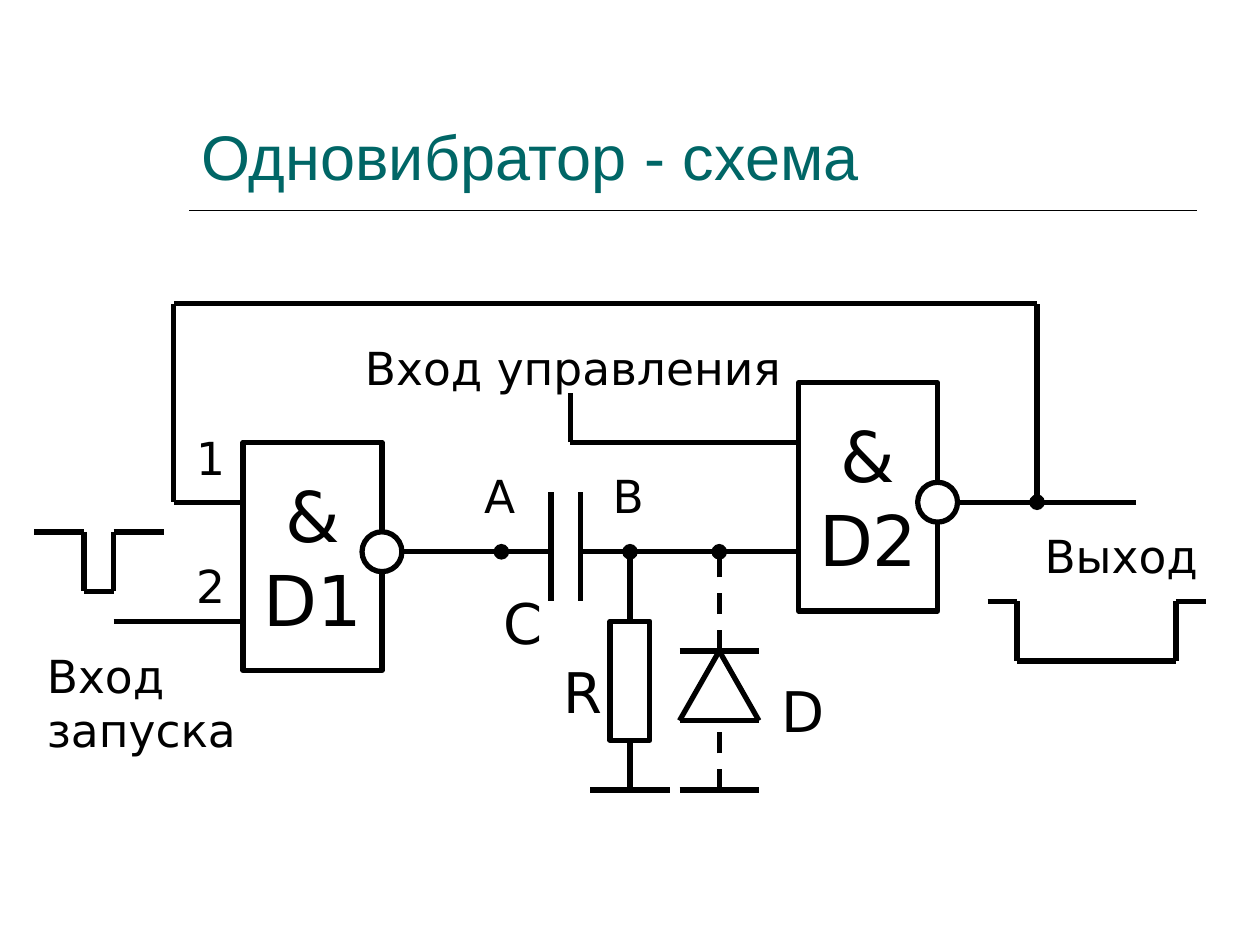
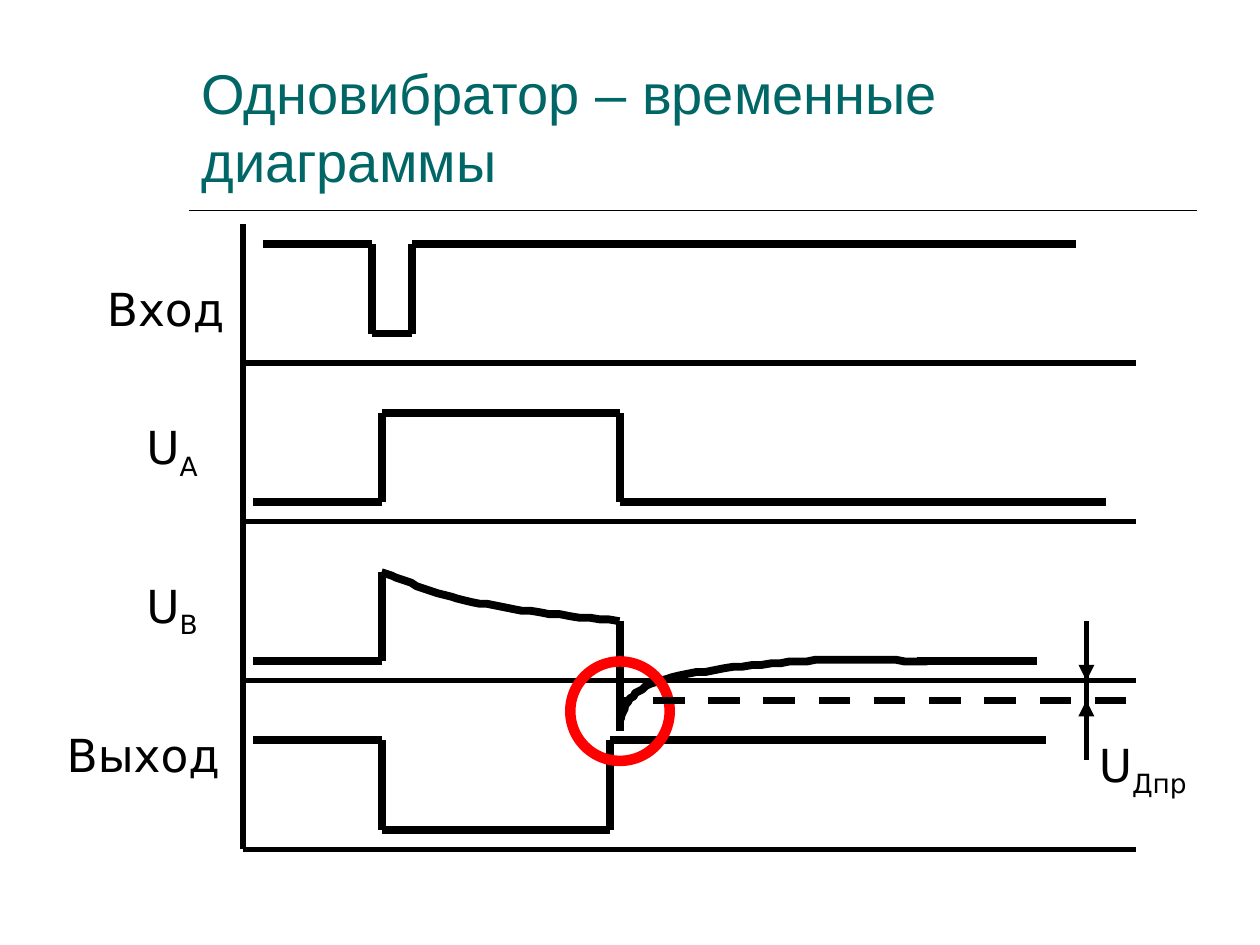
from dataclasses import dataclass
from itertools import pairwise

import pptx
import pptx.dml.color
import pptx.enum.dml
import pptx.enum.shapes
import pptx.enum.text
import pptx.oxml.ns
import pptx.util
from lxml import etree

Pt = pptx.util.Pt
RGB = pptx.dml.color.RGBColor
SHAPE = pptx.enum.shapes.MSO_SHAPE
ANCHOR = pptx.enum.text.MSO_ANCHOR
ALIGN = pptx.enum.text.PP_ALIGN


@dataclass(frozen=True)
class Theme:
    ink: RGB = RGB(0x00, 0x00, 0x00)
    paper: RGB = RGB(0xFF, 0xFF, 0xFF)
    title: RGB = RGB(0x00, 0x66, 0x66)
    alert: RGB = RGB(0xFF, 0x00, 0x00)
    title_font: str = "Arial"
    label_font: str = "DejaVu Sans"
    label_size: float = 26
    part_size: float = 32
    gate_size: float = 40
    rule: float = 1
    wire: float = 3
    signal: float = 4.5
    ring: float = 6


def write(frame, text, *, font, size, color, sub="", align=ALIGN.LEFT,
          anchor=ANCHOR.TOP, wrap=True):
    """Fill a text frame, one paragraph per line; sub is set as a subscript."""
    frame.word_wrap = wrap
    frame.vertical_anchor = anchor
    frame.margin_left = frame.margin_right = Pt(7.2)
    frame.margin_top = frame.margin_bottom = Pt(3.6)
    for number, line in enumerate(text.split("\n")):
        paragraph = frame.add_paragraph() if number else frame.paragraphs[0]
        paragraph.alignment = align
        runs = [paragraph.add_run()]
        runs[0].text = line
        if sub:
            runs.append(paragraph.add_run())
            runs[1].text = sub
            runs[1]._r.get_or_add_rPr().set("baseline", "-25000")
        for run in runs:
            run.font.name = font
            run.font.size = Pt(size)
            run.font.color.rgb = color


def bezier(start, *curves):
    """Points along a chain of cubic curves."""
    points = [start]
    for a, b, end in curves:
        origin = points[-1]
        for step in range(1, 17):
            t = step / 16
            weights = ((1 - t) ** 3, 3 * t * (1 - t) ** 2, 3 * t * t * (1 - t), t ** 3)
            points.append(tuple(
                sum(w * p[axis] for w, p in zip(weights, (origin, a, b, end)))
                for axis in (0, 1)))
    return points


class Board:
    def __init__(self, deck, theme):
        self.deck = deck
        self.theme = theme
        self.slide = None

    def new_slide(self, title, size):
        self.slide = self.deck.slides.add_slide(self.deck.slide_layouts[6])
        self.slide.background.fill.solid()
        self.slide.background.fill.fore_color.rgb = self.theme.paper
        self.wire((108, 120.3), (684, 120.3), width=self.theme.rule)
        heading = self.slide.shapes.add_textbox(Pt(108), Pt(24), Pt(576), Pt(90))
        write(heading.text_frame, title, font=self.theme.title_font, size=size,
              color=self.theme.title, anchor=ANCHOR.BOTTOM)

    def label(self, text, x, y, width, size=None, sub=""):
        size = size or self.theme.label_size
        box = self.slide.shapes.add_textbox(Pt(x), Pt(y), Pt(width), Pt(size * 1.5))
        write(box.text_frame, text, font=self.theme.label_font, size=size,
              color=self.theme.ink, sub=sub)
        box.text_frame.auto_size = pptx.enum.text.MSO_AUTO_SIZE.SHAPE_TO_FIT_TEXT

    def wire(self, *points, width=None, dash=False, end=None):
        """Straight segments through the points; end is the mark on the last one."""
        for start, stop in pairwise(points):
            segment = self.slide.shapes.add_connector(
                pptx.enum.shapes.MSO_CONNECTOR.STRAIGHT,
                *(Pt(value) for value in start + stop))
            segment.line.color.rgb = self.theme.ink
            segment.line.width = Pt(width or self.theme.wire)
            if dash:
                segment.line.dash_style = pptx.enum.dml.MSO_LINE.DASH
            properties = segment._element.spPr
            if end and stop == points[-1]:
                etree.SubElement(properties.find(pptx.oxml.ns.qn("a:ln")),
                                 pptx.oxml.ns.qn("a:tailEnd"), type=end)
            etree.SubElement(properties, pptx.oxml.ns.qn("a:effectLst"))

    def signal(self, *points):
        self.wire(*points, width=self.theme.signal)

    def pulse(self, start, front, back, end, rest, active, width=None):
        """A trace that leaves its rest level between front and back."""
        self.wire((start, rest), (front, rest), (front, active),
                  (back, active), (back, rest), (end, rest), width=width)

    def curve(self, points):
        builder = self.slide.shapes.build_freeform(*points[0], scale=Pt(1))
        builder.add_line_segments(points[1:], close=False)
        trace = builder.convert_to_shape()
        trace.shadow.inherit = False
        trace.fill.background()
        trace.line.color.rgb = self.theme.ink
        trace.line.width = Pt(self.theme.signal)

    def outline(self, kind, x, y, width, height, color=None, line=None, filled=True):
        shape = self.slide.shapes.add_shape(kind, Pt(x), Pt(y), Pt(width), Pt(height))
        shape.shadow.inherit = False
        if filled:
            shape.fill.solid()
            shape.fill.fore_color.rgb = self.theme.paper
        else:
            shape.fill.background()
        shape.line.color.rgb = color or self.theme.ink
        shape.line.width = Pt(line or self.theme.wire)
        return shape

    def nand_gate(self, name, x, y, output_y):
        width, bubble = 79.4, 22.8
        body = self.outline(SHAPE.RECTANGLE, x, y, width, 130.4)
        write(body.text_frame, "&\n" + name, font=self.theme.label_font,
              size=self.theme.gate_size, color=self.theme.ink, align=ALIGN.CENTER,
              anchor=ANCHOR.MIDDLE, wrap=False)
        self.outline(SHAPE.OVAL, x + width - bubble / 2, output_y - bubble / 2,
                     bubble, bubble)


def draw_circuit(board):
    theme = board.theme
    main_y, output_y, ground_y = 315.3, 287, 451.5
    resistor_x, diode_x, ground_half = 360, 411, 22.7
    gate1_x, gate2_x, feedback_x = 138.9, 456.4, 592.6
    board.new_slide("Одновибратор - схема", 36)

    board.nand_gate("D1", gate1_x, 252.7, main_y)
    board.nand_gate("D2", gate2_x, 218.8, output_y)

    # Trigger input and control input
    board.wire((65, 355), (gate1_x, 355))
    board.pulse(19.7, 48, 65, 93.5, 304, 338)
    board.wire((gate2_x, 252.7), (326, 252.7), (326, 224.5))

    # Coupling capacitor between points A and B
    board.wire((229.5, main_y), (286.5, main_y), end="oval")
    board.wire((286.5, main_y), (314.8, main_y))
    for plate_x in (314.8, 331.8):
        board.wire((plate_x, 281.3), (plate_x, 343.7))
    board.wire((331.8, main_y), (resistor_x, main_y), (gate2_x, main_y))

    # Resistor
    board.wire((resistor_x, 355), (resistor_x, main_y), end="oval")
    board.outline(SHAPE.RECTANGLE, resistor_x - 11.4, 355, 22.8, 68)
    board.wire((resistor_x, ground_y), (resistor_x, 423))

    # Diode
    left, right = diode_x - ground_half, diode_x + ground_half
    tip, base = 372, 411.8
    board.wire((diode_x, tip), (diode_x, main_y), dash=True, end="oval")
    board.wire((left, tip), (right, tip))
    board.wire((diode_x, tip), (left, base), (right, base), (diode_x, tip))
    board.wire((diode_x, ground_y), (diode_x, base), dash=True)
    for x in (resistor_x, diode_x):
        board.wire((x - ground_half, ground_y), (x + ground_half, ground_y))

    # Output and feedback
    board.wire((547, output_y), (feedback_x, output_y), (feedback_x, 173.5),
               (99.3, 173.5), (99.3, output_y), (gate1_x, output_y))
    board.wire((649.3, output_y), (feedback_x, output_y), end="oval")
    board.pulse(564.3, 581.2, 672, 689, 343.7, 377.8)

    for text, x, y, width in (
            ("Вход запуска", 19.7, 366.5, 130), ("A", 269.5, 264, 34),
            ("1", 105, 242, 34), ("2", 105, 315.3, 34), ("B", 343, 264, 34),
            ("Вход управления", 201.5, 190.8, 261), ("Выход", 589.8, 298.3, 130)):
        board.label(text, x, y, width)
    for text, x, y in (("C", 280.8, 332.5), ("R", 314.8, 372), ("D", 439.4, 383.2)):
        board.label(text, x, y, 39.6, size=theme.part_size)


def draw_timing(board):
    theme = board.theme
    axis_x, front, back = 138.9, 218.3, 354.3
    zero_y, rest_y, diode_y, level_x = 389, 377.9, 400.3, 620.8
    board.new_slide("Одновибратор – временные диаграммы", 32)

    board.wire((axis_x, 485.4), (axis_x, 128.2))
    for time_y in (207.5, 298.2, zero_y, 485.4):
        board.wire((axis_x, time_y), (649.3, time_y))

    board.pulse(150.3, 212.6, 235.3, 615, 139.5, 190.6, theme.signal)
    board.pulse(144.8, front, back, 632, 287, 236, theme.signal)
    board.pulse(144.8, front, 348.6, 598, 423, 474.2, theme.signal)

    # Voltage at point B
    board.signal((144.8, rest_y), (front, rest_y), (front, 326.8))
    board.curve(bezier((front, 326.8),
                       ((232.6, 332.6), (247, 339), (269.3, 343.6)),
                       ((291.6, 348.5), (323.3, 352), (back, 355))))
    board.signal((back, 355), (back, 417.5))
    board.curve(bezier((back, 412),
                       ((357, 403.2), (360, 394.6), (377.2, 389)),
                       ((393.8, 383.8), (430.5, 379.5), (456.4, rest_y)),
                       ((481.7, 375.8), (517, rest_y), (530, rest_y))))
    board.signal((524, rest_y), (592.6, rest_y))
    board.outline(SHAPE.OVAL, back - 28.4, 378, 56.8, 56.8,
                  color=theme.alert, line=theme.ring, filled=False)

    # Forward voltage of the diode
    board.wire((643.6, diode_y), (back, diode_y), width=theme.signal, dash=True)
    board.wire((level_x, 355), (level_x, zero_y), end="triangle")
    board.wire((level_x, 406), (level_x, 372))
    board.wire((level_x, 434.2), (level_x, diode_y), end="triangle")

    for text, sub, x, y, width in (
            ("Вход", "", 54, 157, 90.7), ("U", "A", 76.5, 236, 57),
            ("U", "B", 76.5, 326.8, 57), ("Выход", "", 31, 412, 113.5),
            ("U", "Дпр", 620.8, 417.6, 73.5)):
        board.label(text, x, y, width, sub=sub)


def main():
    deck = pptx.Presentation()
    deck.slide_width, deck.slide_height = Pt(720), Pt(540)
    board = Board(deck, Theme())
    draw_circuit(board)
    draw_timing(board)
    deck.save("out.pptx")


if __name__ == "__main__":
    main()
